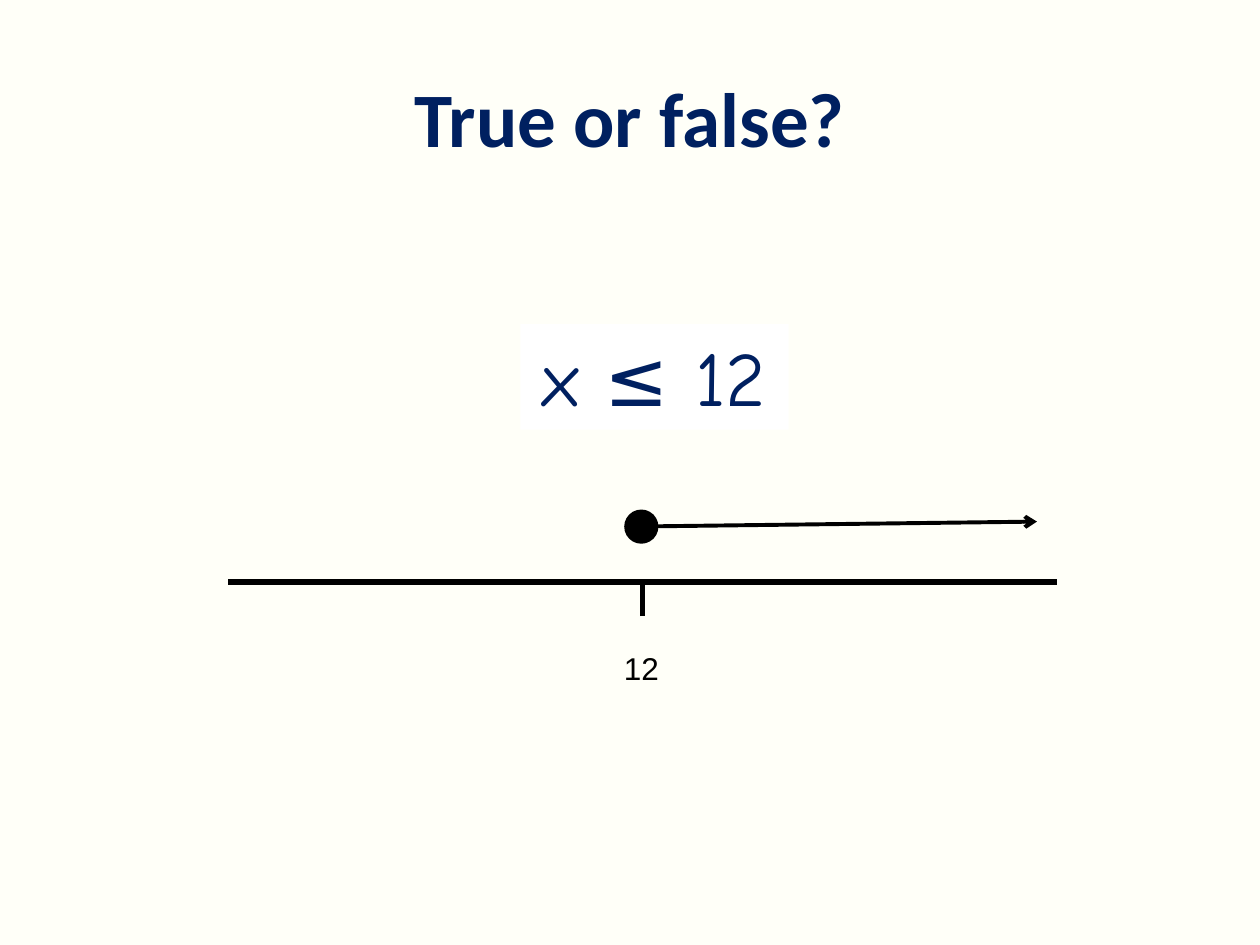
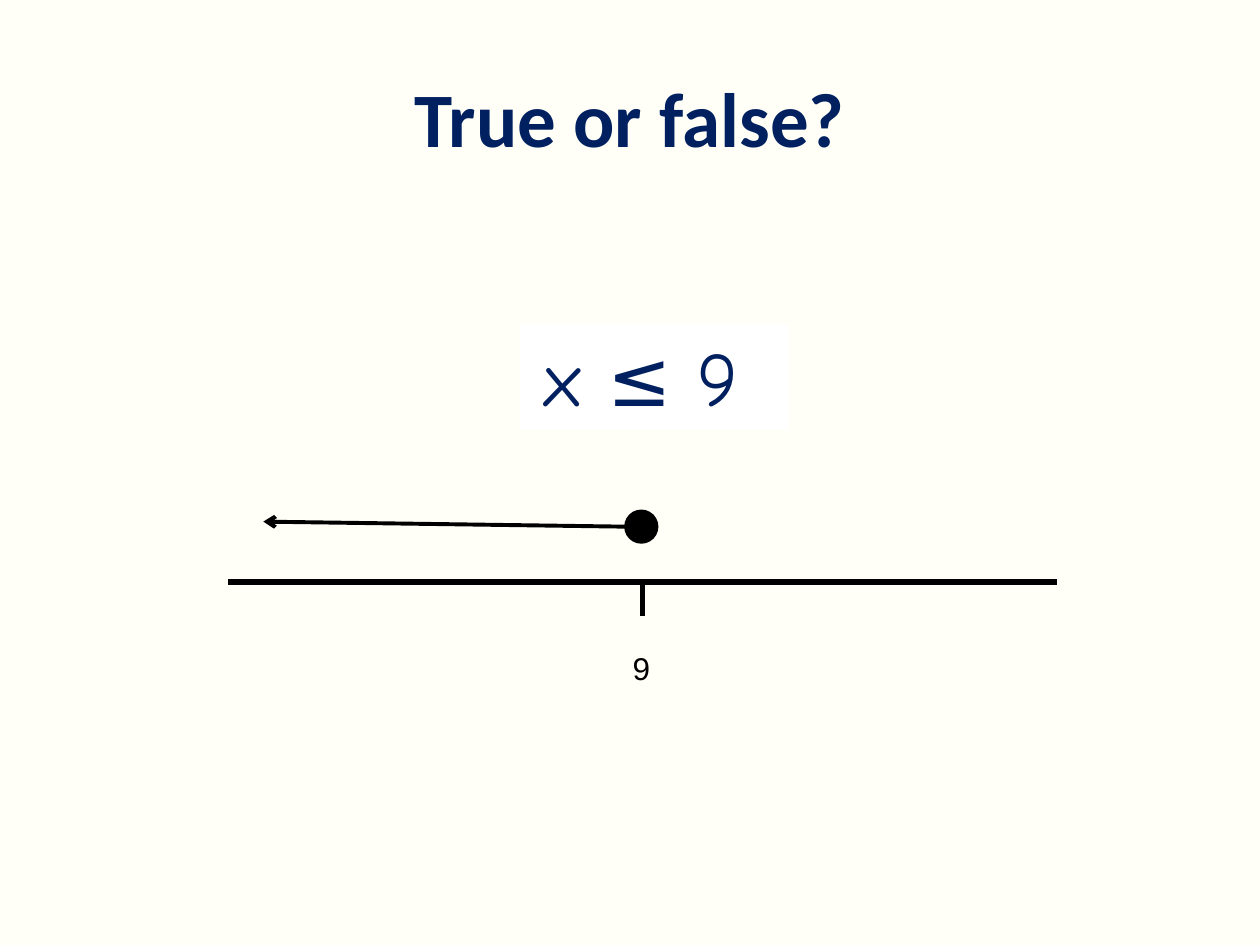
from lxml import etree
from pptx import Presentation
from pptx.dml.color import RGBColor
from pptx.enum.shapes import MSO_CONNECTOR, MSO_SHAPE
from pptx.enum.text import MSO_ANCHOR, PP_ALIGN
from pptx.oxml.ns import qn
from pptx.util import Inches, Pt

STRAIGHT = MSO_CONNECTOR.STRAIGHT
RECTANGLE, OVAL = MSO_SHAPE.RECTANGLE, MSO_SHAPE.OVAL
TOP, MIDDLE = MSO_ANCHOR.TOP, MSO_ANCHOR.MIDDLE
CENTER = PP_ALIGN.CENTER
LEFT_SIDE = 1

# Content: the inequality, the marked number and where the arrow ends
TITLE = "True or false?"
QUESTIONS = [
    {"inequality": "x ≤ 12 ", "number": "12", "arrow_end": 8.23},
    {"inequality": "x ≤ 9 ", "number": "9", "arrow_end": 2.09},
]

# Shared look
COLORS = {"background": "FFFFF8", "navy": "002060", "white": "FFFFFF", "black": "000000"}
TITLE_BOX = (0.5, 0.3, 9, 1.25)
INEQUALITY_BOX = (4.13, 2.57, 2.13, 0.84)
NUMBER_BOX = (3.95, 5.1, 2.28, 0.4)
DOT_BOX = (4.97, 4.06, 0.24, 0.24)
AXIS_LEFT, AXIS_RIGHT, AXIS_Y = 1.81, 8.39, 4.62
TICK_X, TICK_BOTTOM = 5.1, 4.89
ARROW_END_Y = 4.14


def color(name):
    return RGBColor.from_string(COLORS[name])


def add_filled(slide, preset, box, fill, line_width=None):
    shape = slide.shapes.add_shape(preset, *map(Inches, box))
    shape.shadow.inherit = False
    shape.fill.solid()
    shape.fill.fore_color.rgb = color(fill)
    if line_width:
        shape.line.color.rgb = color(fill)
        shape.line.width = Pt(line_width)
    else:
        shape.line.fill.background()
    return shape


def add_text(slide, text, box, *, font, size, ink, bold=False, anchor=TOP, after=0, fill=None):
    if fill:
        holder = add_filled(slide, RECTANGLE, box, fill)
    else:
        holder = slide.shapes.add_textbox(*map(Inches, box))
    frame = holder.text_frame
    frame.word_wrap = True
    frame.vertical_anchor = anchor
    paragraph = frame.paragraphs[0]
    paragraph.alignment = CENTER
    paragraph.space_after = Pt(after)
    run = paragraph.add_run()
    run.text = text
    run.font.name = font
    run.font.size = Pt(size)
    run.font.bold = bold
    run.font.color.rgb = color(ink)


def add_line(slide, start, end, width, arrow=False):
    line = slide.shapes.add_connector(STRAIGHT, *map(Inches, (*start, *end)))
    line.line.color.rgb = color("black")
    line.line.width = Pt(width)
    if arrow:
        etree.SubElement(line.line._get_or_add_ln(), qn("a:tailEnd"), type="arrow")
    etree.SubElement(line._element.spPr, qn("a:effectLst"))
    return line


def add_number_line(slide, number, arrow_end):
    add_text(slide, number, NUMBER_BOX, font="Arial", size=18, ink="black", after=10)
    dot = add_filled(slide, OVAL, DOT_BOX, "black", line_width=2.25)
    add_line(slide, (AXIS_LEFT, AXIS_Y), (AXIS_RIGHT, AXIS_Y), 3)
    add_line(slide, (TICK_X, TICK_BOTTOM), (TICK_X, AXIS_Y), 3)
    # Solution arrow, starting at the dot
    dot_left, dot_top, _, dot_height = DOT_BOX
    arrow = add_line(slide, (dot_left, dot_top + dot_height / 2),
                     (arrow_end, ARROW_END_Y), 2.25, arrow=True)
    arrow.begin_connect(dot, LEFT_SIDE)


def main():
    deck = Presentation()
    deck.slide_width, deck.slide_height = Inches(10), Inches(7.5)
    blank = deck.slide_layouts[6]
    for question in QUESTIONS:
        slide = deck.slides.add_slide(blank)
        slide.background.fill.solid()
        slide.background.fill.fore_color.rgb = color("background")
        add_text(slide, TITLE, TITLE_BOX, font="Calibri", size=44, ink="navy",
                 bold=True, anchor=MIDDLE)
        add_text(slide, question["inequality"], INEQUALITY_BOX, font="Comic Neue",
                 size=44, ink="navy", after=10, fill="white")
        add_number_line(slide, question["number"], question["arrow_end"])
    deck.save("out.pptx")


if __name__ == "__main__":
    main()
